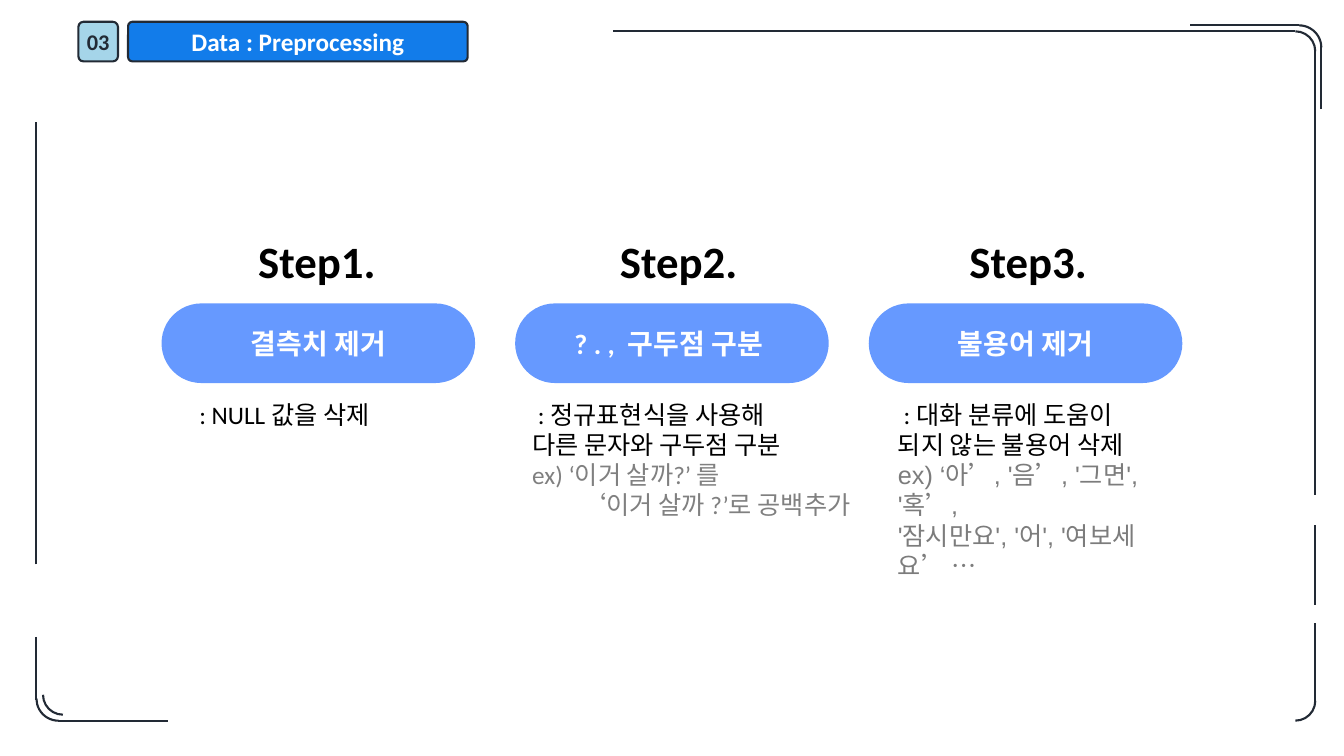
from pptx import Presentation
from pptx.dml.color import RGBColor
from pptx.enum.shapes import MSO_CONNECTOR, MSO_SHAPE
from pptx.enum.text import MSO_ANCHOR, MSO_AUTO_SIZE, PP_ALIGN
from pptx.oxml.ns import qn
from pptx.util import Pt
from lxml import etree

ARC, ROUND_RECT = MSO_SHAPE.ARC, MSO_SHAPE.ROUNDED_RECTANGLE
STRAIGHT = MSO_CONNECTOR.STRAIGHT
MIDDLE, CENTER = MSO_ANCHOR.MIDDLE, PP_ALIGN.CENTER
FIT_TEXT = MSO_AUTO_SIZE.SHAPE_TO_FIT_TEXT

NAVY = RGBColor(0x22, 0x2A, 0x35)
BLUE = RGBColor(0x12, 0x7C, 0xEA)
LIGHT_BLUE = RGBColor(0xA5, 0xD5, 0xE9)
PILL_BLUE = RGBColor(0x66, 0x99, 0xFF)
WHITE = RGBColor(0xFF, 0xFF, 0xFF)
BLACK = RGBColor(0, 0, 0)
GRAY = RGBColor(0x80, 0x80, 0x80)
DARK_GRAY = RGBColor(0x7C, 0x7C, 0x7C)
LINE_WIDTH = Pt(1.5)

# Each step: title, title offset, pill label, body box (offset, width, height, wrap),
# body paragraphs (text, font, colour, indent)
STEPS = [
    ("Step1.", 61.9, "결측치 제거", (15.8, 147.6, 29, False),
     [(" : NULL 값을 삭제", "Calibri", BLACK, 0)]),
    ("Step2.", 67.7, "? . ,  구두점 구분 ", (5.1, 247, 116.6, True),
     [(" : 정규표현식을 사용해", "Calibri", BLACK, 0),
      ("다른 문자와 구두점 구분", "Calibri", BLACK, 0),
      ("ex) ‘이거 살까?’ 를", "Calibri", GRAY, 0),
      ("‘이거 살까 ?’로 공백추가", "Calibri", GRAY, 35)]),
    ("Step3.", 64.8, "불용어 제거", (13.7, 200.9, 138.2, True),
     [(" : 대화 분류에 도움이 되지 않는 불용어 삭제", "Calibri", BLACK, 0),
      ("ex) ‘아’, '음’, '그면', '혹’, ", "Arial", DARK_GRAY, 0),
      ("'잠시만요', '어', '여보세요’ …", "Arial", DARK_GRAY, 0)]),
]


def set_font(p, size, color, bold=False, name="Calibri"):
    p.font.name, p.font.size = name, Pt(size)
    p.font.bold, p.font.color.rgb = bold, color


def add_line(s, x1, y1, x2, y2):
    line = s.shapes.add_connector(STRAIGHT, Pt(x1), Pt(y1), Pt(x2), Pt(y2))
    line.line.color.rgb, line.line.width = NAVY, LINE_WIDTH
    etree.SubElement(line._element.spPr, qn("a:effectLst"))


def add_arc(s, x, y, size, rotation):
    sp = s.shapes.add_shape(ARC, Pt(x), Pt(y), Pt(size), Pt(size))
    sp.shadow.inherit = False
    sp.fill.background()
    sp.line.color.rgb, sp.line.width = NAVY, LINE_WIDTH
    sp.rotation = rotation


def add_label(s, x, y, w, h, text, size, radius, fill, color, outline=None):
    sp = s.shapes.add_shape(ROUND_RECT, Pt(x), Pt(y), Pt(w), Pt(h))
    sp.shadow.inherit = False
    sp.adjustments[0] = radius
    sp.fill.solid()
    sp.fill.fore_color.rgb = fill
    if outline is None:
        sp.line.fill.background()
    else:
        sp.line.color.rgb, sp.line.width = outline, LINE_WIDTH
    tf = sp.text_frame
    tf.vertical_anchor = MIDDLE
    tf.word_wrap = w > h
    p = tf.paragraphs[0]
    p.text, p.alignment = text, CENTER
    set_font(p, size, color, True)


def add_text_box(s, x, y, w, h, wrap):
    tf = s.shapes.add_textbox(Pt(x), Pt(y), Pt(w), Pt(h)).text_frame
    tf.word_wrap, tf.auto_size = wrap, FIT_TEXT
    return tf


def add_frame(s, left, top, right, bottom):
    # Top edge and right edge
    add_line(s, right - 14.4, top, left + 411.8, top)
    for y1, y2 in [(353.5, 36.7), (432, 375.1), (502, 445)]:
        add_line(s, right, y1, right, y2)
    # Outer strokes at the top right corner
    add_line(s, right - 11.5, top - 4.3, right - 89.3, top - 4.3)
    add_line(s, right + 4.3, top + 55.5, right + 4.3, top + 11.5)
    # Bottom edge and left edge
    add_line(s, left + 15.8, bottom, left + 94.3, bottom)
    for y1, y2 in [(455, 499.7), (403.2, 87.1)]:
        add_line(s, left, y1, left, y2)
    # Corners
    add_arc(s, right - 28.4, top, 28.4, 0)
    add_arc(s, right - 27.3, top - 4.3, 31.6, 0)
    add_arc(s, right - 28.4, bottom - 28.4, 28.4, 90)
    add_arc(s, left + 4.7, bottom - 32.7, 28.4, 180)
    add_arc(s, left, bottom - 31.6, 31.6, 180)


def add_header(s, x, y, h):
    add_label(s, x, y, h, h, "03", 16, 0.13, LIGHT_BLUE, NAVY, NAVY)
    add_label(s, x + 35.5, y, 242.6, h, "Data : Preprocessing", 18, 0.11,
              BLUE, WHITE, NAVY)


def add_step(s, x, y, w, step):
    title, title_dx, label, (body_dx, body_w, body_h, wrap), body = step
    # Title
    p = add_text_box(s, x + title_dx, y, 99.4, 46.1, False).paragraphs[0]
    p.text = title
    set_font(p, 32, BLACK, True)
    # Pill
    add_label(s, x, y + 53.3, w, 56.9, label, 20, 0.5, PILL_BLUE, WHITE)
    # Explanation
    tf = add_text_box(s, x + body_dx, y + 118, body_w, body_h, wrap)
    for i, (text, font, color, indent) in enumerate(body):
        p = tf.add_paragraph() if i else tf.paragraphs[0]
        p.text = text
        set_font(p, 18, color, name=font)
        if indent:
            p._p.get_or_add_pPr().set("marL", str(Pt(indent)))


def main():
    prs = Presentation()
    prs.slide_width, prs.slide_height = Pt(960), Pt(540)
    s = prs.slides.add_slide(prs.slide_layouts[6])
    add_frame(s, 26, 22.4, 939.5, 514.8)
    add_header(s, 56, 15.6, 28.3)
    for i, step in enumerate(STEPS):
        add_step(s, 115.4 + 252.6 * i, 163.4, 224, step)
    prs.save("out.pptx")


if __name__ == "__main__":
    main()
